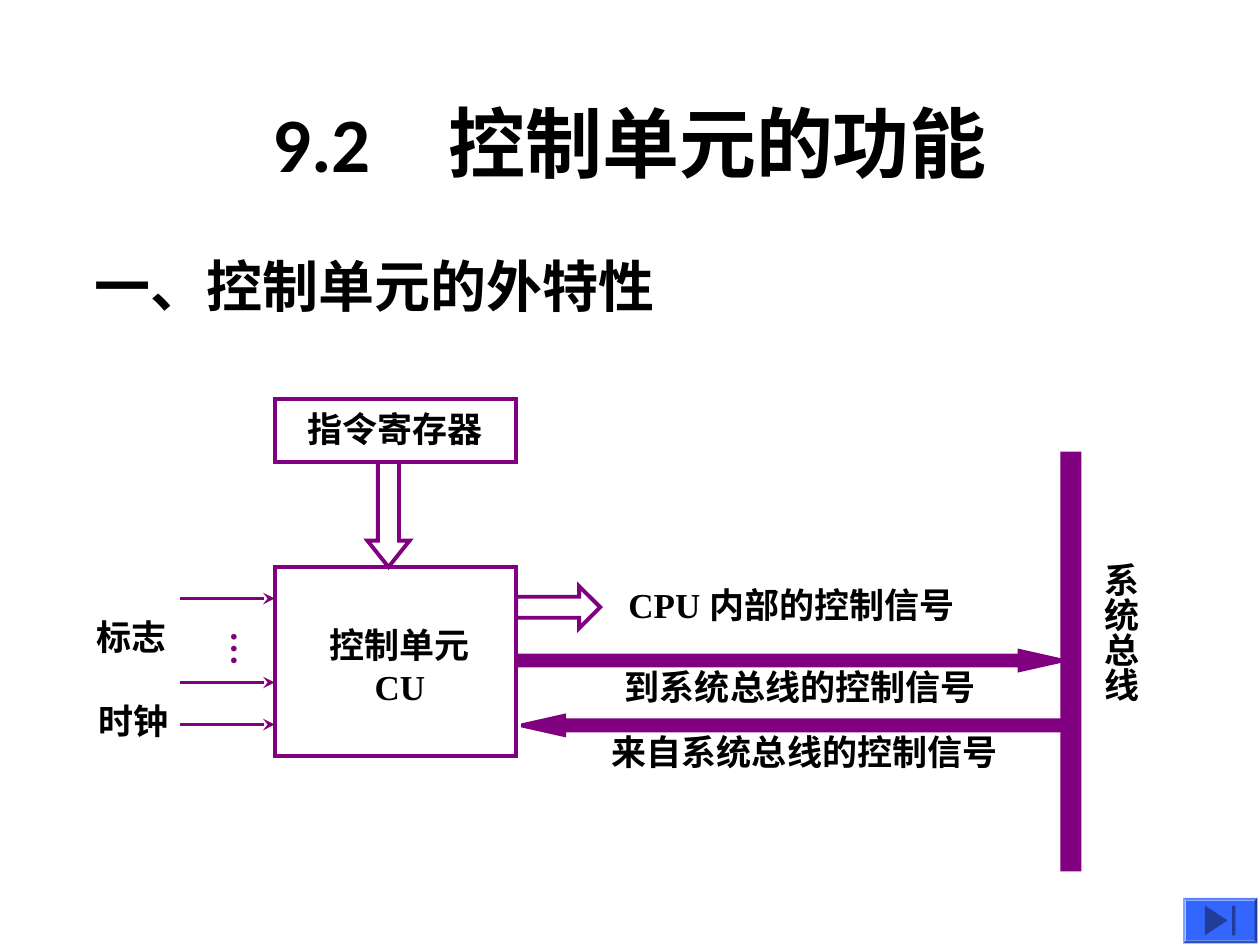
from lxml import etree
from pptx import Presentation
from pptx import util as u
from pptx.dml import color
from pptx.enum import lang, shapes, text
from pptx.oxml import ns

Pt = u.Pt
PURPLE, BLACK, BLUE, NAVY = "800080", "000000", "3366FF", "1F3D99"
SHAPE = shapes.MSO_SHAPE
LABEL = {"size": Pt(20), "bold": True, "name": "Times New Roman",
         "language_id": lang.MSO_LANGUAGE_ID.SIMPLIFIED_CHINESE}
SUBTITLE = {**LABEL, "size": Pt(32)}
TITLE = {**LABEL, "size": Pt(44), "name": "Calibri"}


def paint(target, value):
    """Give a fill or font colour a hex value."""
    target.rgb = color.RGBColor.from_string(value)


def write(frame, lines, style, value=BLACK, align=text.PP_ALIGN.LEFT):
    """Write one formatted paragraph for each line."""
    for index, line in enumerate(lines):
        para = frame.add_paragraph() if index else frame.paragraphs[0]
        para.alignment = align
        span = para.add_run()
        span.text = line
        for key, setting in style.items():
            setattr(span.font, key, setting)
        paint(span.font.color, value)


def add_label(page, box, lines, style=LABEL, value=BLACK, margins=(7.2, 3.6),
              vertical=False, align=text.PP_ALIGN.LEFT):
    """Add an unwrapped label that grows with its text."""
    frame = page.shapes.add_textbox(*map(Pt, box)).text_frame
    across, down = map(Pt, margins)
    settings = {"word_wrap": False, "auto_size": text.MSO_AUTO_SIZE.SHAPE_TO_FIT_TEXT,
                "margin_left": across, "margin_right": across,
                "margin_top": down, "margin_bottom": down}
    for key, setting in settings.items():
        setattr(frame, key, setting)
    if vertical:
        frame._txBody.bodyPr.set("vert", "eaVert")
    write(frame, lines, style, value, align)
    return frame


def add_block(page, kind, box, fill=None, line=PURPLE, adjust=()):
    """Add a preset shape with an optional fill and mitred outline."""
    block = page.shapes.add_shape(kind, *map(Pt, box))
    block.shadow.inherit = False
    for index, ratio in enumerate(adjust):
        block.adjustments[index] = ratio
    if fill:
        block.fill.solid()
        paint(block.fill.fore_color, fill)
    else:
        block.fill.background()
    if line:
        paint(block.line.color, line)
        block.line.width = Pt(2.25)
        etree.SubElement(block.line._get_or_add_ln(), ns.qn("a:miter"), lim="800000")
    else:
        block.line.fill.background()
    return block


def add_input(page, left, top, length):
    """Add a horizontal input line with a stealth arrowhead."""
    ends = map(Pt, (left, top, left + length, top))
    arrow = page.shapes.add_connector(shapes.MSO_CONNECTOR.STRAIGHT, *ends)
    paint(arrow.line.color, PURPLE)
    arrow.line.width = Pt(2.25)
    etree.SubElement(arrow.line._get_or_add_ln(), ns.qn("a:tailEnd"), type="stealth")
    etree.SubElement(arrow._element.spPr, ns.qn("a:effectLst"))


def build_heading(page, box):
    """Place the title and the section heading."""
    left, top, width, height = box
    title = page.shapes.title
    for key, length in zip(("left", "top", "width", "height"), (left, top, width, 90)):
        setattr(title, key, Pt(length))
    title.text_frame.vertical_anchor = text.MSO_ANCHOR.MIDDLE
    write(title.text_frame, ["9.2　控制单元的功能"], TITLE, align=text.PP_ALIGN.CENTER)
    frame = add_label(page, (left, top + height - 34, 340, 34),
                      ["一、控制单元的外特性"], SUBTITLE, margins=(0, 0))
    frame.vertical_anchor = text.MSO_ANCHOR.MIDDLE
    frame.auto_size = text.MSO_AUTO_SIZE.NONE


def build_unit(page, box):
    """Place the instruction register above the control unit."""
    left, top, width, height = box
    add_label(page, (left + 11.5, top + 1.5, 116, 31.5), ["指令寄存器"])
    add_block(page, SHAPE.RECTANGLE, (left, top, width, 36))
    add_block(page, SHAPE.RECTANGLE, (left, top + 96, width, height - 96))
    add_label(page, (left + 24, top + 125, 95, 55.5), ["控制单元", "CU"],
              align=text.PP_ALIGN.CENTER)
    add_block(page, SHAPE.DOWN_ARROW, (left + 53, top + 36, 24, 60), adjust=(0.5, 0.625))


def build_inputs(page, box):
    """Place the flag and clock inputs."""
    left, top, width, height = box
    for offset in (0, 48, height):
        add_input(page, left + width - 54, top + offset, 54)
    add_label(page, (left + 70, top + 11.5, 38, 27.5), ["…"], value=PURPLE,
              margins=(3.6, 7.2), vertical=True)
    for name, shift, offset in (("标志", 0, 6), ("时钟", 1.5, 54)):
        add_label(page, (left + shift, top + offset, 56, 31.5), [name])


def build_signals(page, box):
    """Place the control signals between the unit and the bus."""
    left, top, width, height = box
    add_block(page, SHAPE.RIGHT_ARROW, (left, top + 5, 48, 24), adjust=(0.5, 0.5))
    for shift, offset, turn in ((0, 42, 0), (3, 79, 180)):
        arrow = add_block(page, SHAPE.RIGHT_ARROW, (left + shift, top + offset, width, 11),
                          PURPLE, adjust=(0.52, 2.22))
        arrow.rotation = turn
    captions = (("CPU 内部的控制信号", 57, 0, 208),
                ("到系统总线的控制信号", 55, 46.5, 217),
                ("来自系统总线的控制信号", 47.5, height - 31.5, 237))
    for caption, shift, offset, length in captions:
        add_label(page, (left + shift, top + offset, length, 31.5), [caption])


def build_bus(page, box):
    """Place the system bus and its vertical label."""
    left, top, width, height = box
    add_label(page, (left + width, top + 56.5, 38, 88), ["系统总线"],
              margins=(3.6, 7.2), vertical=True)
    add_block(page, SHAPE.RECTANGLE, box, PURPLE, None)


def build_button(page, box):
    """Place the bevelled button that leads to the end."""
    left, top, width, height = box
    add_block(page, SHAPE.BEVEL, box, BLUE, None, (0.06,))
    triangle = add_block(page, SHAPE.ISOSCELES_TRIANGLE,
                         (left + 10.5, top + 6.5, 17, 13), NAVY, None)
    triangle.rotation = 90
    add_block(page, SHAPE.RECTANGLE, (left + 28, top + 4.5, 2, 17), NAVY, None)


def main():
    """Build and save the slide."""
    deck = Presentation()
    deck.slide_width, deck.slide_height = Pt(720), Pt(540)
    page = deck.slides.add_slide(deck.slide_layouts[5])
    build_heading(page, (54, 36, 612, 144))
    build_unit(page, (157, 228, 138, 204))
    build_inputs(page, (48, 342, 109, 72))
    build_signals(page, (295, 330, 312, 115.5))
    build_bus(page, (606, 258, 12, 240))
    build_button(page, (676, 513, 42.5, 26))
    deck.save("out.pptx")


if __name__ == "__main__":
    main()
